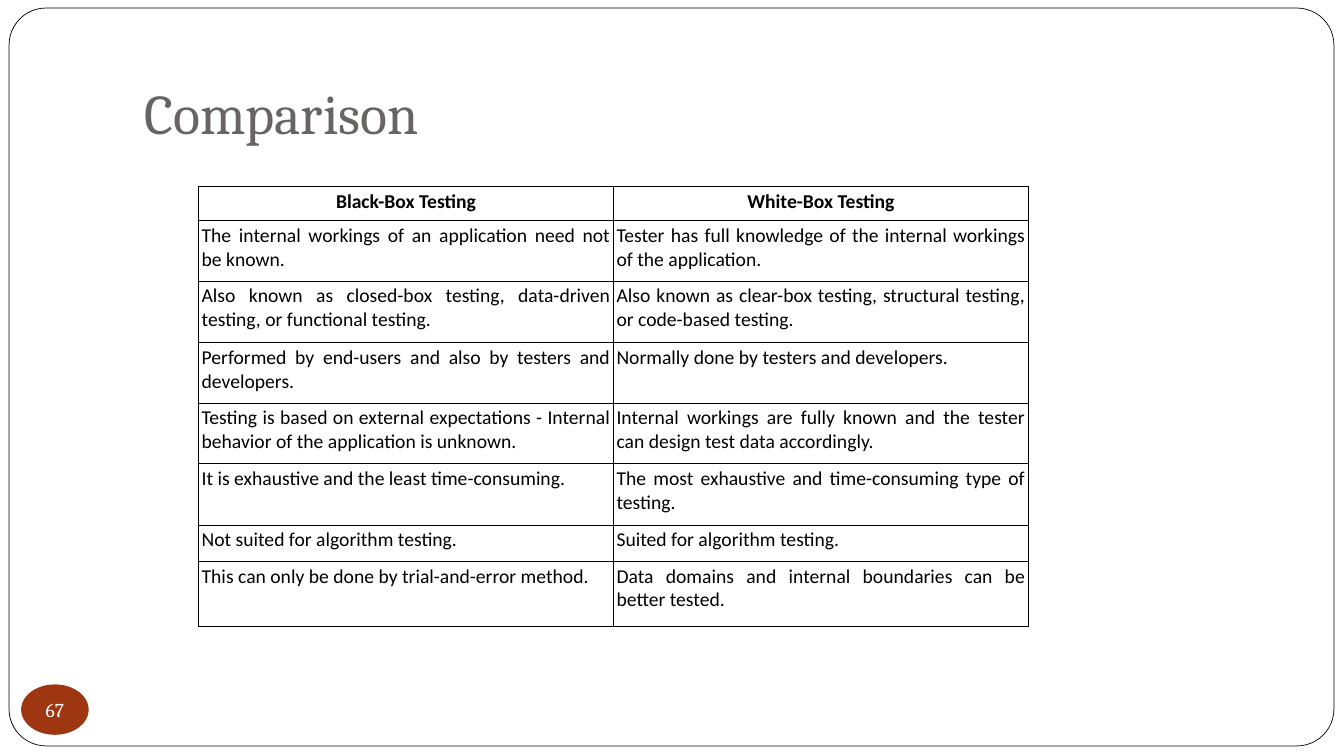
import pptx
import pptx.dml.color
import pptx.enum.shapes
import pptx.enum.text
import pptx.oxml
import pptx.oxml.ns
import pptx.util

PX = 9144  # EMU, 100 px to the inch
ALIGN = pptx.enum.text.PP_ALIGN
ANCHOR = pptx.enum.text.MSO_ANCHOR
SHAPE = pptx.enum.shapes.MSO_SHAPE

ROWS = [
    ("Black-Box Testing", "White-Box Testing"),
    ("The internal workings of an application need not be known.",
     "Tester has full knowledge of the internal workings of the application."),
    ("Also known as closed-box testing, data-driven testing, or functional testing.",
     "Also known as clear-box testing, structural testing, or code-based testing."),
    ("Performed by end-users and also by testers and developers.",
     "Normally done by testers and developers."),
    ("Testing is based on external expectations - Internal behavior of the application is unknown.",
     "Internal workings are fully known and the tester can design test data accordingly."),
    ("It is exhaustive and the least time-consuming.",
     "The most exhaustive and time-consuming type of testing."),
    ("Not suited for algorithm testing.", "Suited for algorithm testing."),
    ("This can only be done by trial-and-error method.",
     "Data domains and internal boundaries can be better tested."),
]
HEIGHTS = [34, 60, 61, 60, 60, 61, 36, 65]


def px(*nums):
    return [pptx.util.Emu(n * PX) for n in nums]


def color(code):
    return pptx.dml.color.RGBColor.from_string(code)


def fill(item, code):
    item.fill.solid()
    item.fill.fore_color.rgb = color(code)


def inset(item, left, top, right, bottom):
    (item.margin_left, item.margin_top,
     item.margin_right, item.margin_bottom) = px(left, top, right, bottom)


def write(frame, text, font, size, code, align, bold=False):
    frame.text = text
    para = frame.paragraphs[0]
    para.alignment = align
    para.font.name = font
    para.font.size = pptx.util.Pt(size)
    para.font.bold = bold
    para.font.color.rgb = color(code)


def add_shape(slide, kind, box, code):
    shape = slide.shapes.add_shape(kind, *px(*box))
    shape.shadow.inherit = False
    fill(shape, code)
    return shape


def add_frame(slide):
    frame = add_shape(slide, SHAPE.ROUNDED_RECTANGLE, (9, 8, 1314, 732), "FFFFFF")
    frame.adjustments[0] = 0.05
    frame.line.color.rgb = color("000000")
    frame.line.width = pptx.util.Pt(0.5)
    slide.shapes.title.element.addprevious(frame.element)


def set_title(slide, text):
    title = slide.shapes.title
    title.left, title.top, title.width, title.height = px(133, 30, 1133, 125)
    frame = title.text_frame
    frame.vertical_anchor = ANCHOR.BOTTOM
    inset(frame, 10, 5, 10, 10)
    write(frame, text, "Cambria", 40, "696464", ALIGN.LEFT)


def add_edges(cell):
    """Draw a thin black border on all four sides; fill must be set first."""
    props = cell._tc.get_or_add_tcPr()
    for spot, side in enumerate("LRTB"):
        props.insert(spot, pptx.oxml.parse_xml(
            f'<a:ln{side} {pptx.oxml.ns.nsdecls("a")} w="12700">'
            '<a:solidFill><a:srgbClr val="000000"/></a:solidFill>'
            f'</a:ln{side}>'))


def add_grid(slide):
    box = px(197, 185, 823, sum(HEIGHTS))
    table = slide.shapes.add_table(len(ROWS), 2, *box).table
    for r, (texts, height) in enumerate(zip(ROWS, HEIGHTS)):
        table.rows[r].height = px(height)[0]
        head = r == 0
        align = ALIGN.CENTER if head else ALIGN.JUSTIFY
        for c, text in enumerate(texts):
            cell = table.cell(r, c)
            inset(cell, 3, 3, 3, 3)
            write(cell.text_frame, text, "Calibri", 14, "000000", align, head)
            fill(cell, "FFFFFF")
            add_edges(cell)


def add_badge(slide, text):
    badge = add_shape(slide, SHAPE.OVAL, (21, 679, 67, 50), "9E3611")
    badge.line.fill.background()
    frame = badge.text_frame
    frame.word_wrap = False
    frame.vertical_anchor = ANCHOR.MIDDLE
    inset(frame, 0, 0, 0, 0)
    write(frame, text, "Cambria", 14, "FFFFFF", ALIGN.CENTER)


def main():
    deck = pptx.Presentation()
    deck.slide_width, deck.slide_height = px(1333, 750)
    slide = deck.slides.add_slide(deck.slide_layouts.get_by_name("Title Only"))
    add_frame(slide)
    set_title(slide, "Comparison")
    add_grid(slide)
    add_badge(slide, "67")
    deck.save("out.pptx")


if __name__ == "__main__":
    main()
